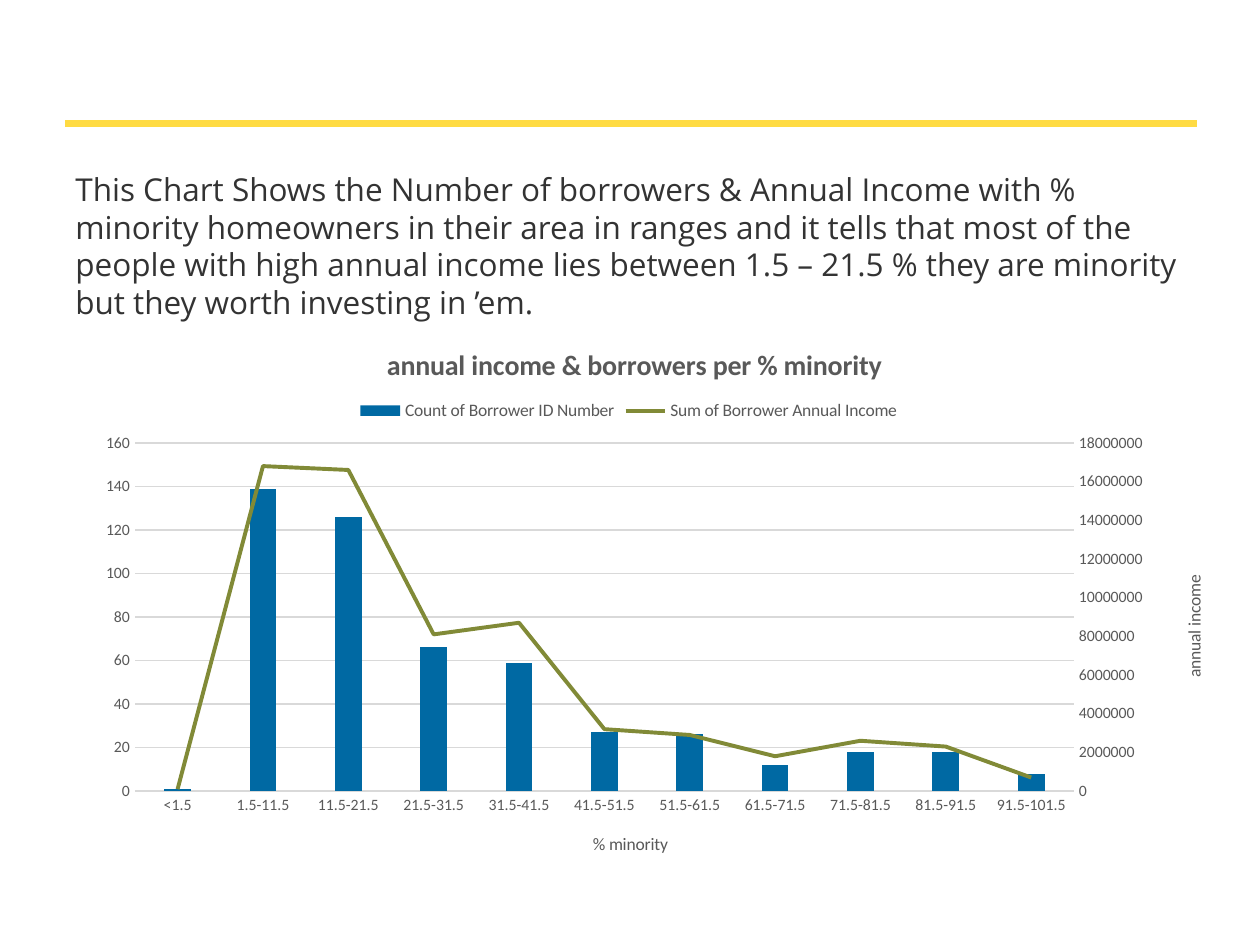
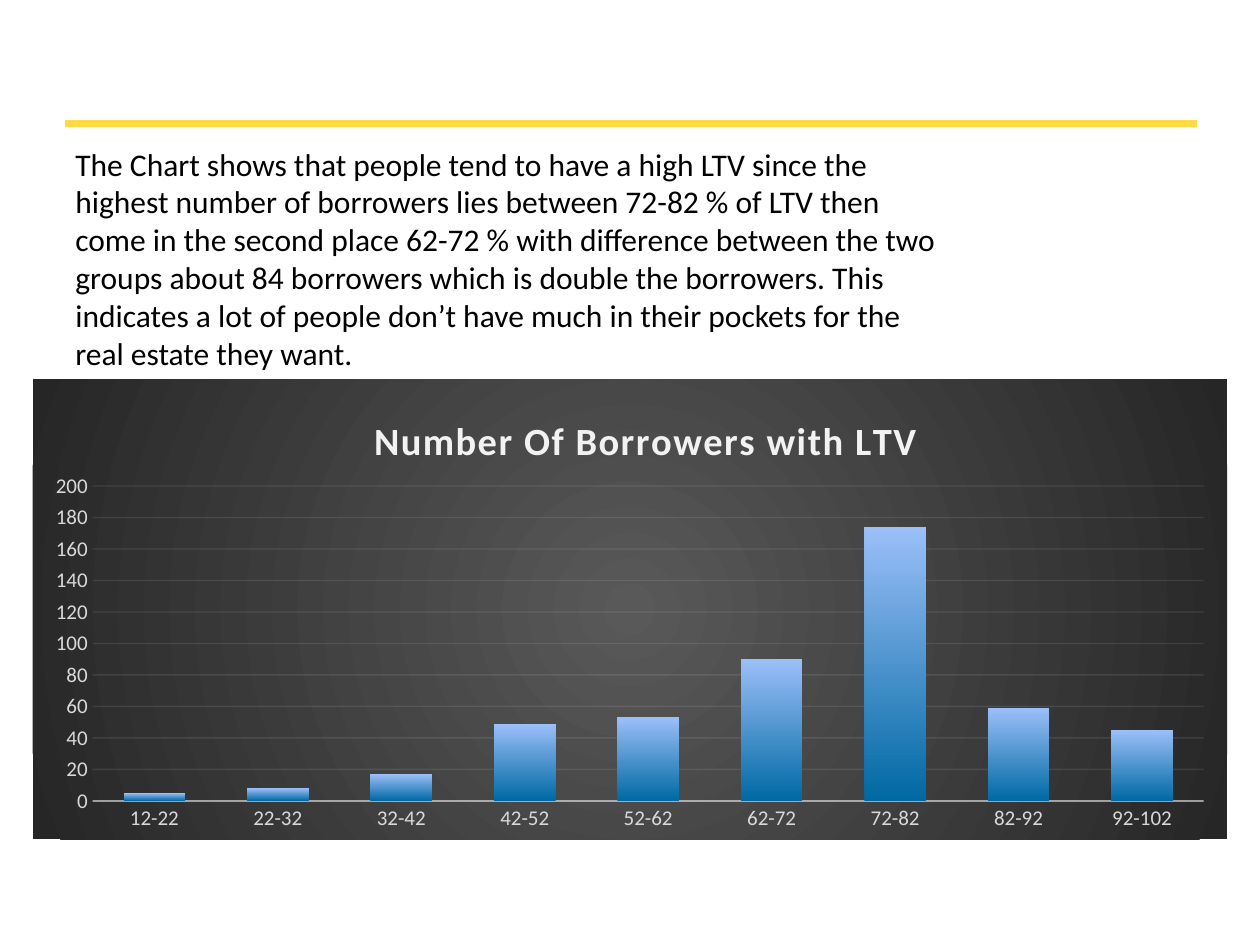
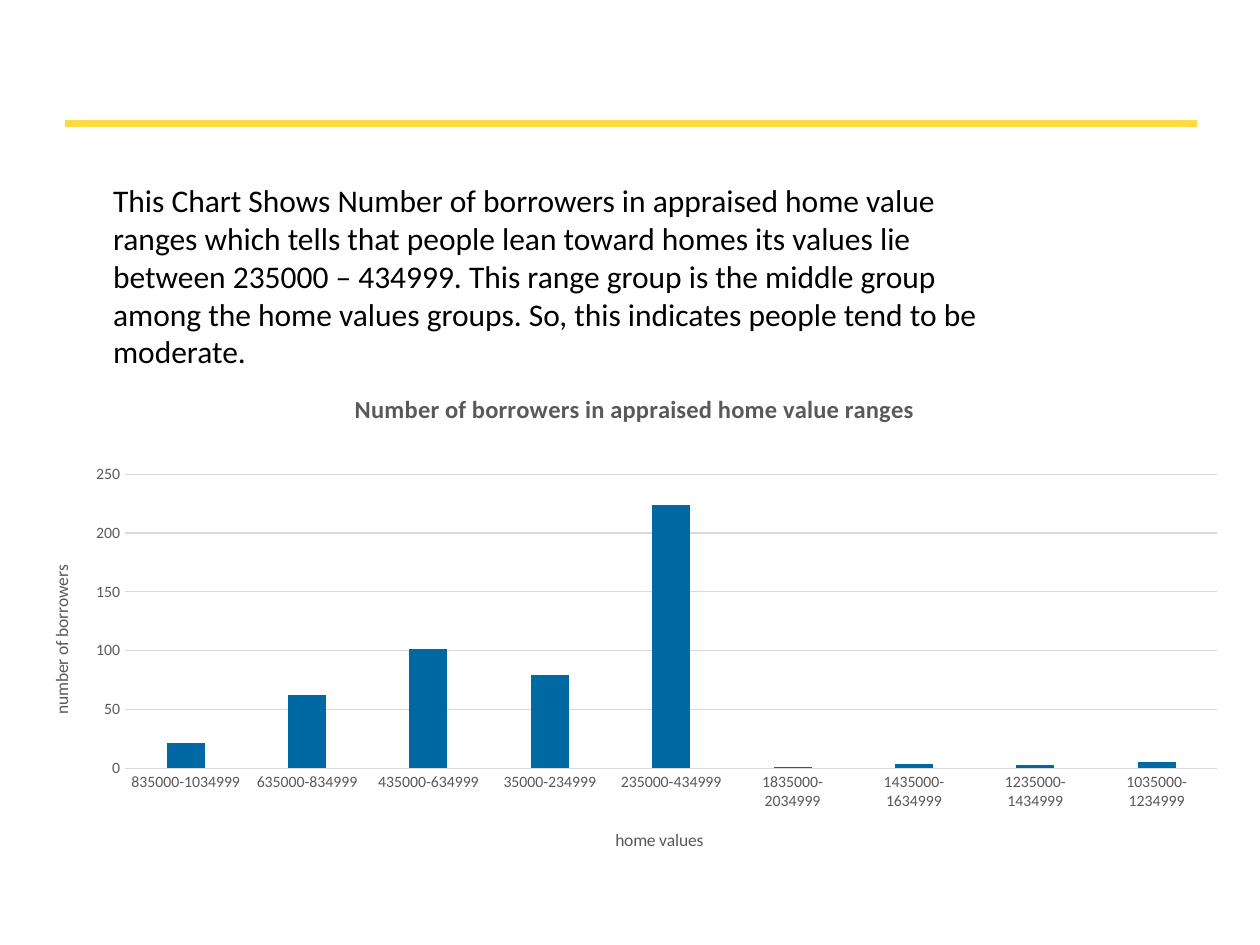
from lxml import etree
from pptx import Presentation
from pptx.chart.axis import ValueAxis
from pptx.chart.data import CategoryChartData
from pptx.dml.color import RGBColor
from pptx.enum.chart import XL_CHART_TYPE, XL_LEGEND_POSITION, XL_MARKER_STYLE, XL_TICK_MARK
from pptx.enum.shapes import MSO_CONNECTOR
from pptx.enum.text import MSO_AUTO_SIZE
from pptx.oxml import parse_xml
from pptx.oxml.ns import nsdecls, qn
from pptx.util import Cm, Pt

COLUMNS = XL_CHART_TYPE.COLUMN_CLUSTERED
LEGEND_TOP = XL_LEGEND_POSITION.TOP
NO_MARKER = XL_MARKER_STYLE.NONE
NO_TICK = XL_TICK_MARK.NONE
STRAIGHT = MSO_CONNECTOR.STRAIGHT
GROW = MSO_AUTO_SIZE.SHAPE_TO_FIT_TEXT

YELLOW = RGBColor(0xFF, 0xDB, 0x43)
BLACK = RGBColor(0x00, 0x00, 0x00)
CHARCOAL = RGBColor(0x33, 0x33, 0x33)
GRAY = RGBColor(0x59, 0x59, 0x59)
DARK = RGBColor(0x26, 0x26, 0x26)
SILVER = RGBColor(0xD9, 0xD9, 0xD9)
PALE = RGBColor(0xF2, 0xF2, 0xF2)
BLUE = RGBColor(0x00, 0x69, 0xA3)
SKY = RGBColor(0x9B, 0xBF, 0xF9)
OLIVE = RGBColor(0x81, 0x8A, 0x37)

BODY_FONT = "Calibri"
WIDE_FONT = "Open Sans"


def add_ruled_slide(deck):
    page = deck.slides.add_slide(deck.slide_layouts[6])
    rule = page.shapes.add_connector(STRAIGHT, Cm(1.32), Cm(2.49), Cm(24.13), Cm(2.49))
    rule.line.color.rgb = YELLOW
    rule.line.width = Pt(4.5)
    etree.SubElement(rule.element.spPr, qn("a:effectLst"))
    return page


def add_comment(page, box, text, font=BODY_FONT, color=BLACK):
    frame = page.shapes.add_textbox(*map(Cm, box)).text_frame
    frame.word_wrap = True
    frame.auto_size = GROW
    frame.text = text
    para = frame.paragraphs[0]
    para.line_spacing = Pt(21.6)
    style_font(para.runs[0].font, 18, color, font)


def style_font(font, size, color, name=BODY_FONT, bold=False):
    font.name = name
    font.size = Pt(size)
    font.bold = bold
    font.color.rgb = color


def style_line(line, color, width, opacity=100):
    line.color.rgb = color
    line.width = Pt(width)
    if opacity < 100:
        tint = line.fill._xPr.find(".//" + qn("a:srgbClr"))
        etree.SubElement(tint, qn("a:alpha"), val=str(opacity * 1000))


def place(part, chart_box, offset, size=None):
    chart_size = chart_box[2:]
    lengths = dict(zip("xy", (o / c for o, c in zip(offset, chart_size))))
    if size:
        lengths.update(zip("wh", (s / c for s, c in zip(size, chart_size))))
    for former in part.findall(qn("c:layout")):
        part.remove(former)
    layout = etree.Element(qn("c:layout"))
    manual = etree.SubElement(layout, qn("c:manualLayout"))
    if size:
        etree.SubElement(manual, qn("c:layoutTarget"), val="inner")
    for axis in "xy":
        etree.SubElement(manual, qn(f"c:{axis}Mode"), val="edge")
    for key, value in lengths.items():
        etree.SubElement(manual, qn(f"c:{key}"), val=f"{value:.4f}")
    overlay = part.find(qn("c:overlay"))
    if overlay is None:
        part.insert(0, layout)
    else:
        overlay.addprevious(layout)


def set_title(title, chart_box, text, offset, size=10, color=GRAY, bold=False, upright=False):
    title.text_frame.text = text
    style_font(title.text_frame.paragraphs[0].runs[0].font, size, color, bold=bold)
    if upright:
        body = title.element.find(".//" + qn("a:bodyPr"))
        body.set("rot", "-5400000")
        body.set("vert", "horz")
    place(title.element, chart_box, offset)


def style_axis(axis, size=9, color=GRAY):
    axis.major_tick_mark = NO_TICK
    axis.minor_tick_mark = NO_TICK
    style_font(axis.tick_labels.font, size, color)


def style_scale(axis, maximum, step, **label_style):
    style_axis(axis, **label_style)
    axis.minimum_scale = 0
    axis.maximum_scale = maximum
    axis.major_unit = step
    axis.format.line.fill.background()


def add_column_chart(page, box, plot_offset, plot_size, categories, series, gap, overlap,
                     maximum, step, axis_line=(SILVER, 0.75), grid_line=(SILVER, 0.75),
                     **label_style):
    data = CategoryChartData()
    data.categories = categories
    for name, values in series:
        data.add_series(name, values)
    chart = page.shapes.add_chart(COLUMNS, *map(Cm, box), data).chart
    style_font(chart.font, 10, BLACK)
    chart.has_legend = False
    chart.has_title = True
    plot = chart.plots[0]
    plot.vary_by_categories = False
    plot.gap_width = gap
    plot.overlap = overlap
    columns = plot.series[0].format.fill
    columns.solid()
    columns.fore_color.rgb = BLUE
    style_axis(chart.category_axis, **label_style)
    style_line(chart.category_axis.format.line, *axis_line)
    style_scale(chart.value_axis, maximum, step, **label_style)
    style_line(chart.value_axis.major_gridlines.format.line, *grid_line)
    place(chart.element.find(".//" + qn("c:plotArea")), box, plot_offset, plot_size)
    return chart


def move_second_series_to_line(chart):
    area = chart.element.find(".//" + qn("c:plotArea"))
    columns = area.find(qn("c:barChart"))
    series = columns.findall(qn("c:ser"))[1]
    for flag in series.findall(qn("c:invertIfNegative")):
        series.remove(flag)
    lines = parse_xml(
        f'<c:lineChart {nsdecls("c")}><c:grouping val="standard"/><c:varyColors val="0"/>'
        '<c:marker val="1"/><c:axId val="5001"/><c:axId val="5002"/></c:lineChart>')
    lines.insert(2, series)
    columns.addnext(lines)
    scale = parse_xml(
        f'<c:valAx {nsdecls("c")}><c:axId val="5002"/><c:scaling/><c:delete val="0"/>'
        '<c:axPos val="r"/><c:numFmt formatCode="General" sourceLinked="0"/>'
        '<c:tickLblPos val="nextTo"/><c:crossAx val="5001"/><c:crosses val="max"/></c:valAx>')
    hidden = parse_xml(
        f'<c:catAx {nsdecls("c")}><c:axId val="5001"/><c:scaling/><c:delete val="1"/>'
        '<c:axPos val="b"/><c:crossAx val="5002"/><c:crosses val="autoZero"/></c:catAx>')
    area.find(qn("c:valAx")).addnext(scale)
    scale.addnext(hidden)
    line = chart.plots[1].series[0]
    line.smooth = False
    line.marker.style = NO_MARKER
    style_line(line.format.line, OLIVE, 2.25)
    return ValueAxis(scale)


def fill_radial(chart, inner, outer):
    chart.element.find(qn("c:chart")).addnext(parse_xml(
        f'<c:spPr {nsdecls("c", "a")}><a:gradFill><a:gsLst>'
        f'<a:gs pos="0"><a:srgbClr val="{inner}"/></a:gs>'
        f'<a:gs pos="100000"><a:srgbClr val="{outer}"/></a:gs></a:gsLst>'
        '<a:path path="circle"><a:fillToRect l="50000" t="50000" r="50000" b="50000"/></a:path>'
        '</a:gradFill><a:ln><a:noFill/></a:ln></c:spPr>'))


def build_minority_slide(deck):
    page = add_ruled_slide(deck)
    add_comment(
        page, (1.27, 3.3, 23.19, 3.33),
        "This Chart Shows the Number of borrowers & Annual Income with % minority homeowners "
        "in their area in ranges and it tells that most of the people with high annual income "
        "lies between 1.5 – 21.5 % they are minority but they worth investing in ’em.",
        WIDE_FONT, CHARCOAL)
    box = (0.58, 6.35, 24.21, 11.35)
    ranges = ["<1.5"] + [f"{low + 0.5}-{low + 10.5}" for low in range(1, 92, 10)]
    series = [
        ("Count of Borrower ID Number", (1, 139, 126, 66, 59, 27, 26, 12, 18, 18, 8)),
        ("Sum of Borrower Annual Income",
         (100000, 16800000, 16600000, 8100000, 8700000, 3200000, 2900000, 1800000,
          2600000, 2300000, 700000)),
    ]
    chart = add_column_chart(page, box, (2.14, 2.58), (18.93, 7.02), ranges, series,
                             219, 0, 160, 20)
    income_axis = move_second_series_to_line(chart)
    style_scale(income_axis, 18000000, 2000000)
    set_title(chart.chart_title, box, "annual income & borrowers per % minority",
              (7.12, 0.52), 16, bold=True)
    set_title(chart.category_axis.axis_title, box, "% minority", (11.31, 10.38))
    set_title(chart.value_axis.axis_title, box, "number of borrowers", (0.58, 4.72), upright=True)
    set_title(income_axis.axis_title, box, "annual income", (23.2, 5.18), upright=True)
    chart.has_legend = True
    chart.legend.position = LEGEND_TOP
    chart.legend.include_in_layout = False
    style_font(chart.legend.font, 10, GRAY)
    place(chart.element.find(".//" + qn("c:legend")), box, (6.57, 1.63))


def build_ltv_slide(deck):
    page = add_ruled_slide(deck)
    add_comment(
        page, (1.27, 2.79, 18.24, 4.88),
        "The Chart shows that people tend to have a high LTV since the highest number of "
        "borrowers lies between 72-82 % of LTV then come in the second place 62-72 % with "
        "difference between the two groups about 84 borrowers which is double the borrowers. "
        "This indicates a lot of people don’t have much in their pockets for the real estate "
        "they want.")
    box = (0.66, 7.65, 24.08, 9.27)
    ranges = [f"{low}-{low + 10}" for low in range(12, 93, 10)]
    series = [("Series 1", (5, 8, 17, 49, 53, 90, 174, 59, 45))]
    chart = add_column_chart(page, box, (1.21, 2.15), (22.4, 6.35), ranges, series,
                             100, -24, 200, 20, (PALE, 1, 54), (PALE, 0.75, 10),
                             size=12, color=SILVER)
    set_title(chart.chart_title, box, "Number Of Borrowers with LTV", (6.74, 0.56),
              22, PALE, bold=True)
    chart.chart_title.element.find(".//" + qn("a:rPr")).set("spc", "100")
    fill_radial(chart, GRAY, DARK)
    columns = chart.plots[0].series[0].format.fill
    columns.gradient()
    columns.gradient_angle = 90
    for stop, position, color in zip(columns.gradient_stops, (0, 1), (BLUE, SKY)):
        stop.position = position
        stop.color.rgb = color


def build_home_value_slide(deck):
    page = add_ruled_slide(deck)
    add_comment(
        page, (2.03, 3.53, 18.24, 4.11),
        "This Chart Shows Number of borrowers in appraised home value ranges which tells that "
        "people lean toward homes its values lie between 235000 – 434999. This range group is "
        "the middle group among the home values groups. So, this indicates people tend to be "
        "moderate.")
    box = (0.38, 7.32, 24.64, 10.24)
    lows = (835000, 635000, 435000, 35000, 235000, 1835000, 1435000, 1235000, 1035000)
    ranges = [f"{low}-{low + 199999}" for low in lows]
    series = [("Series 1", (21, 62, 101, 79, 224, 1, 4, 3, 5))]
    chart = add_column_chart(page, box, (2.14, 2.24), (22.02, 5.93), ranges, series,
                             219, -27, 250, 50)
    set_title(chart.chart_title, box, "Number of borrowers in appraised home value ranges",
              (6.68, 0.49), 14, bold=True)
    set_title(chart.category_axis.axis_title, box, "home values", (11.96, 9.32))
    set_title(chart.value_axis.axis_title, box, "number of borrowers", (0.57, 4.01), upright=True)


def main():
    deck = Presentation()
    deck.slide_width = Cm(25.4)
    deck.slide_height = Cm(19.05)
    build_minority_slide(deck)
    build_ltv_slide(deck)
    build_home_value_slide(deck)
    deck.save("out.pptx")


if __name__ == "__main__":
    main()
